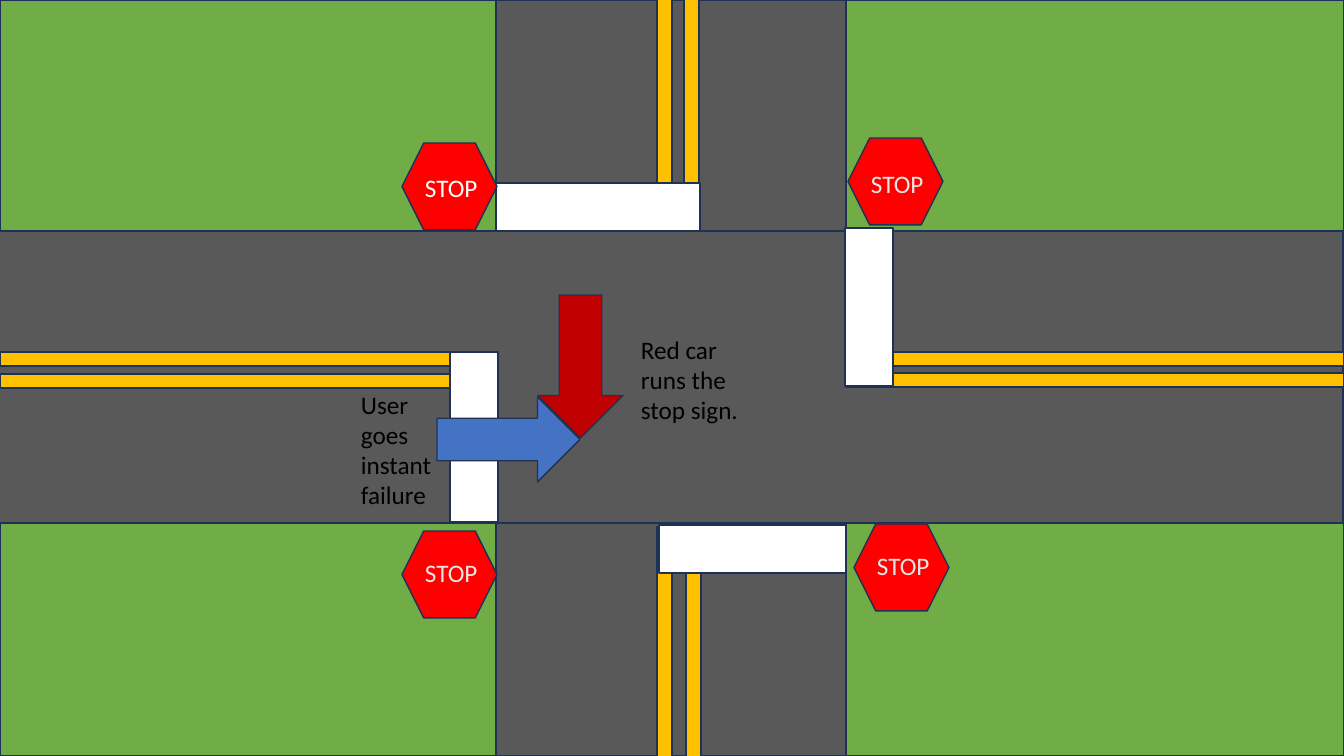
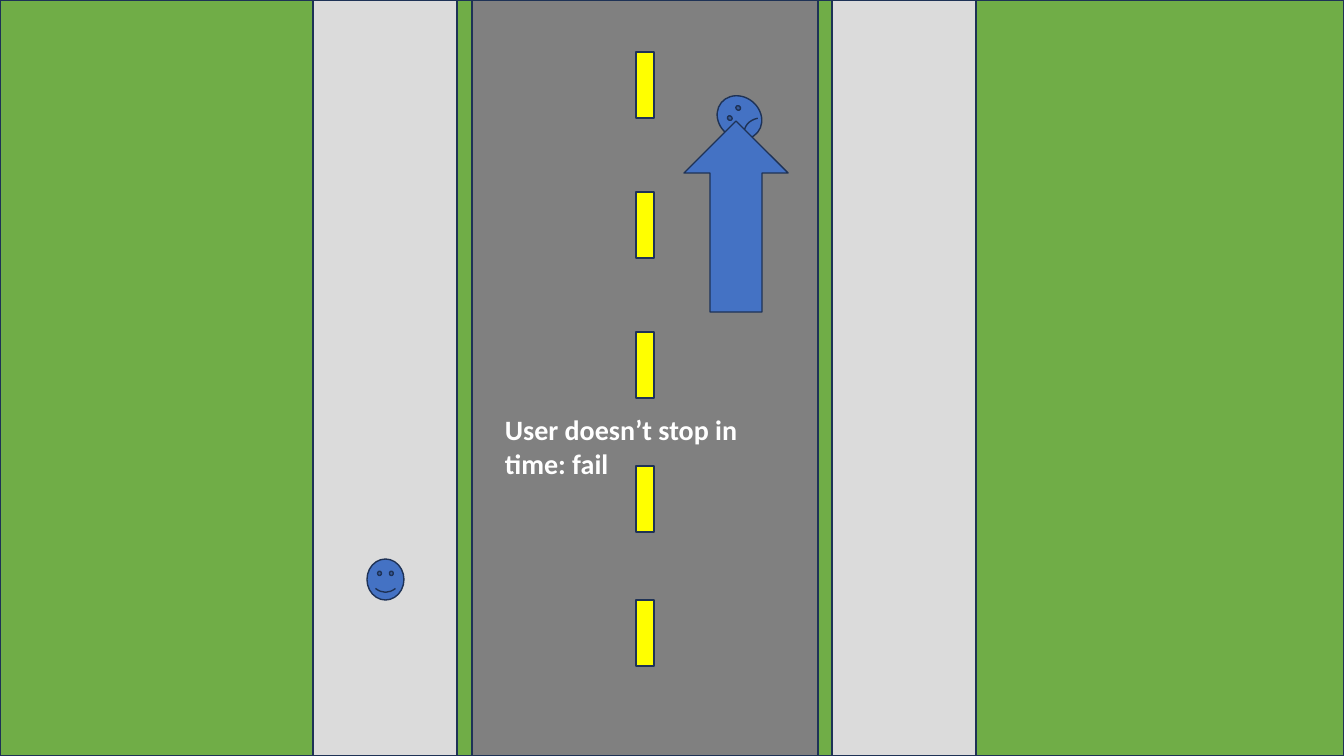
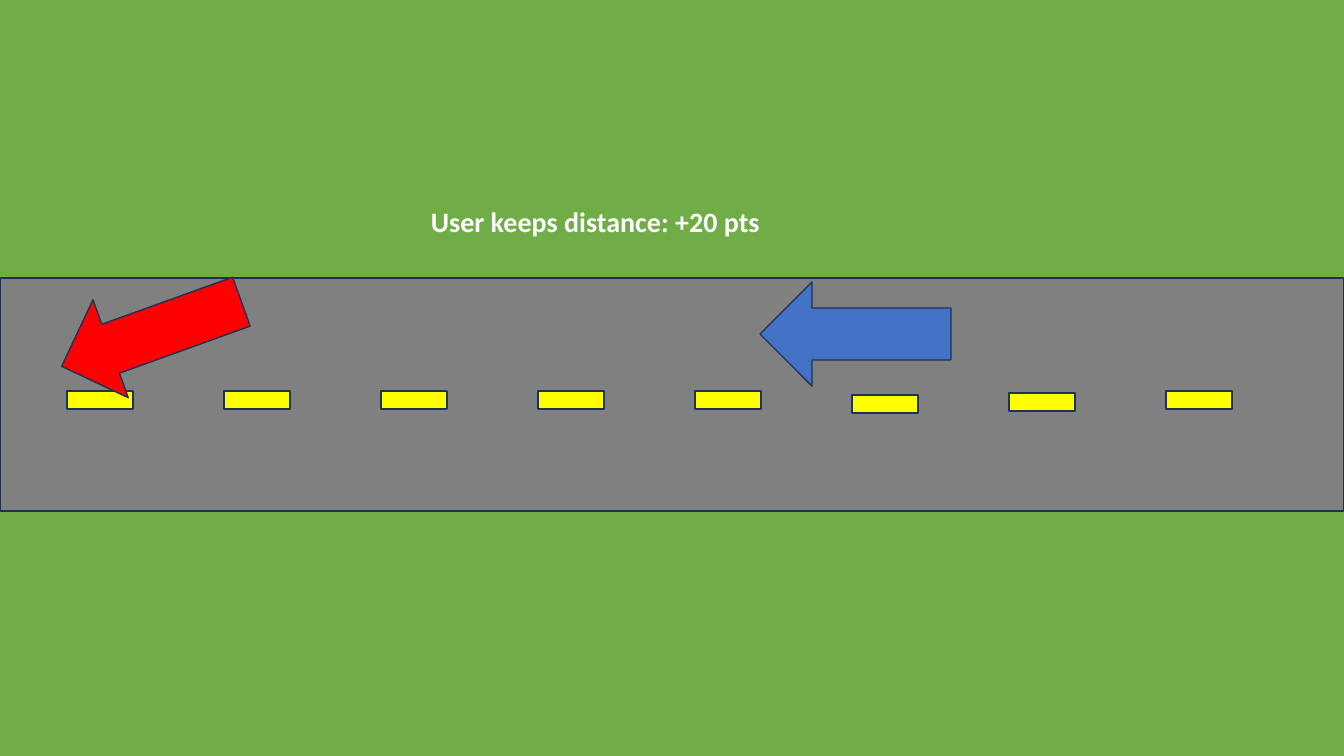
import pptx
import pptx.dml.color
import pptx.enum.shapes
import pptx.enum.text
import pptx.util

RGBColor = pptx.dml.color.RGBColor
SHAPE = pptx.enum.shapes.MSO_SHAPE

# Lengths are px on a 1344 x 756 slide
W, H = 1344, 756
PX = 12192000 / W
SLIDE_BOX = (0, 0, W, H)

FONT = "Calibri"
OUTLINE = RGBColor(0x1E, 0x32, 0x56)
GRASS = RGBColor(0x70, 0xAD, 0x47)
ASPHALT = RGBColor(0x59, 0x59, 0x59)
ROAD = RGBColor(0x80, 0x80, 0x80)
WALK = RGBColor(0xDB, 0xDB, 0xDB)
AMBER = RGBColor(0xFF, 0xC0, 0x00)
YELLOW = RGBColor(0xFF, 0xFF, 0x00)
RED = RGBColor(0xFF, 0x00, 0x00)
DARK_RED = RGBColor(0xC0, 0x00, 0x00)
BLUE = RGBColor(0x44, 0x72, 0xC4)
WHITE = RGBColor(0xFF, 0xFF, 0xFF)
PALE = RGBColor(0xE7, 0xE6, 0xE6)
BLACK = RGBColor(0x00, 0x00, 0x00)

DASH_LONG, DASH_WIDE = 66, 18
CAR_LONG, CAR_WIDE = 191, 104


def emu(px):
    return pptx.util.Emu(round(px * PX))


def place(box, rect):
    """Turn a rect relative to box into slide lengths."""
    x, y, w, h = rect
    return emu(box[0] + x), emu(box[1] + y), emu(w), emu(h)


def add_part(s, box, rect, fill, kind=SHAPE.RECTANGLE, line=OUTLINE, rot=0):
    sp = s.shapes.add_shape(kind, *place(box, rect))
    sp.shadow.inherit = False
    sp.fill.solid()
    sp.fill.fore_color.rgb = fill
    sp.line.color.rgb = line
    sp.line.width = pptx.util.Pt(1)
    sp.rotation = rot
    return sp


def add_text(s, box, rect, text, size, color, bold=False):
    tf = s.shapes.add_textbox(*place(box, rect)).text_frame
    tf.word_wrap = True
    tf.auto_size = pptx.enum.text.MSO_AUTO_SIZE.SHAPE_TO_FIT_TEXT
    p = tf.paragraphs[0]
    p.text = text
    p.font.name = FONT
    p.font.size = pptx.util.Pt(size)
    p.font.bold = bold
    p.font.color.rgb = color


def add_stop_sign(s, box, label_y, color):
    add_part(s, box, (0, 0, 95, 87), RED, SHAPE.HEXAGON)
    add_text(s, box, (13, label_y, 82, 40), "STOP", 18, color)


def draw_intersection(s, box):
    _, _, w, h = box
    # Lawns
    for rect in ((0, 0, 498, 231), (w - 498, 0, 498, 254),
                 (w - 498, 502, 498, h - 502), (0, 523, 498, h - 523)):
        add_part(s, box, rect, GRASS)
    # Crossing roads
    add_part(s, box, (496, 0, 350, h), ASPHALT)
    add_part(s, box, (-1, 231, w, 292), ASPHALT)
    # Double centre lines
    for x, y in ((0, 352), (0, 374), (w - 498, 352), (w - 498, 373)):
        add_part(s, box, (x, y, 498, 14), AMBER)
    for x, y in ((657, -2), (684, -2), (686, 527), (657, 527)):
        add_part(s, box, (x, y, 15, 231), AMBER)
    # Stop bars
    for rect in ((659, 525, 187, 48), (845, 228, 48, 158),
                 (450, 352, 48, 170), (496, 183, 204, 48)):
        add_part(s, box, rect, WHITE)
    # Stop signs
    for x, y, label_y, color in ((402, 143, 24, WHITE), (848, 138, 25, PALE),
                                 (402, 531, 21, PALE), (854, 524, 21, PALE)):
        add_stop_sign(s, (box[0] + x, box[1] + y), label_y, color)
    # Cars
    add_part(s, box, (437, 397, 143, 85), BLUE, SHAPE.RIGHT_ARROW)
    add_part(s, box, (538, 295, 85, 143), DARK_RED, SHAPE.DOWN_ARROW)
    # Captions
    add_text(s, box, (631, 329, 143, 102), "Red car runs the stop sign.", 18, BLACK)
    add_text(s, box, (351, 384, 114, 132), "User goes instant failure", 18, BLACK)


def draw_street(s, box):
    _, _, w, h = box
    # Lawn, road and pavements
    for x, width, fill in ((0, w, GRASS), (472, 346, ROAD),
                           (832, 144, WALK), (313, 144, WALK)):
        add_part(s, box, (x, 0, width, h), fill)
    # Centre dashes
    for y in (52, 192, 332, 466, 600):
        add_part(s, box, (636, y, DASH_WIDE, DASH_LONG), YELLOW)
    # Pedestrians and car
    sad = add_part(s, box, (719, 94, 41, 47), BLUE, SHAPE.SMILEY_FACE, rot=309.5)
    sad.adjustments[0] = -0.05
    add_part(s, box, (367, 559, 37, 41), BLUE, SHAPE.SMILEY_FACE)
    add_part(s, box, (684, 121, CAR_WIDE, CAR_LONG), BLUE, SHAPE.UP_ARROW)
    # Caption
    add_text(s, box, (495, 408, 282, 78), "User doesn’t stop in time: fail",
             20, WHITE, True)


def draw_highway(s, box):
    _, _, w, h = box
    # Lawn and road
    add_part(s, box, (0, 0, w, h), GRASS, line=GRASS)
    add_part(s, box, (0, 278, w, 233), ROAD)
    # Centre dashes, two of them slightly low
    for i, drop in enumerate((0, 0, 0, 0, 0, 4, 2, 0)):
        add_part(s, box, (67 + 157 * i, 391 + drop, DASH_LONG, DASH_WIDE), YELLOW)
    # Cars
    add_part(s, box, (56, 282, CAR_LONG, CAR_WIDE), RED, SHAPE.RIGHT_ARROW, rot=160.2)
    add_part(s, box, (760, 282, CAR_LONG, CAR_WIDE), BLUE, SHAPE.LEFT_ARROW)
    # Caption
    add_text(s, box, (421, 200, 349, 44), "User keeps distance: +20 pts",
             20, WHITE, True)


def main():
    prs = pptx.Presentation()
    prs.slide_width, prs.slide_height = emu(W), emu(H)
    for draw in (draw_intersection, draw_street, draw_highway):
        draw(prs.slides.add_slide(prs.slide_layouts[6]), SLIDE_BOX)
    prs.save("out.pptx")


if __name__ == "__main__":
    main()
